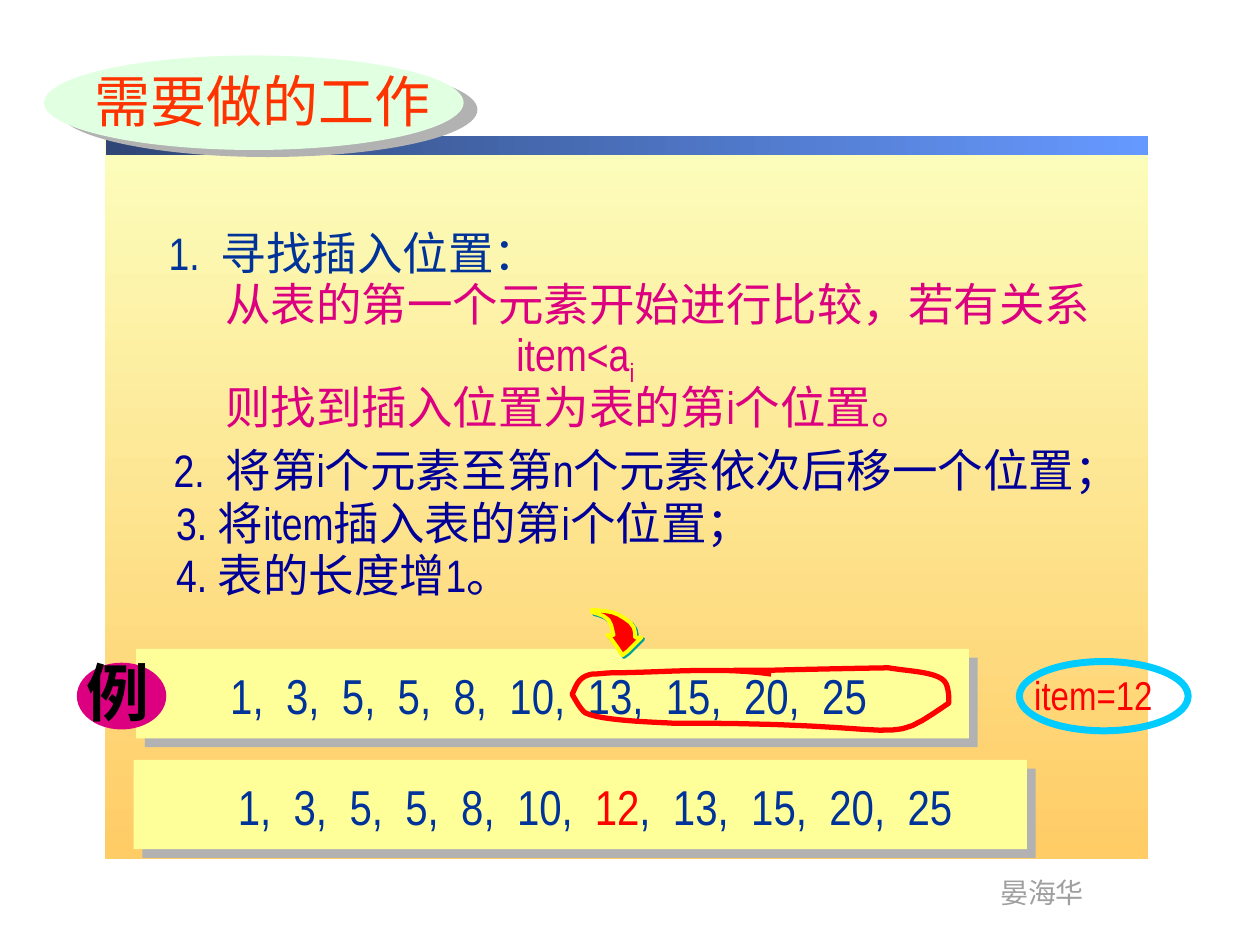
from lxml import etree
from pptx import Presentation
from pptx.dml.color import RGBColor
from pptx.enum.shapes import MSO_SHAPE
from pptx.enum.text import MSO_AUTO_SIZE, PP_ALIGN
from pptx.oxml.ns import qn
from pptx.util import Inches, Pt

RECT, OVAL = MSO_SHAPE.RECTANGLE, MSO_SHAPE.OVAL
GROW = MSO_AUTO_SIZE.SHAPE_TO_FIT_TEXT
CENTER = PP_ALIGN.CENTER

COLORS = {
    "cream": "FCFEBC", "orange": "FFCC66", "dusk": "2F4676", "sky": "6699FF",
    "gray": "9F9F9F", "shade": "B2B2B2", "mint": "E1FFE1", "title": "FF3300",
    "blue": "003399", "navy": "000099", "pink": "DC0081", "lemon": "FFFF99",
    "red": "FF0000", "cyan": "00CCFF", "yellow": "FFFF00", "teal": "009EA1",
    "black": "000000",
}
LATIN, HAN, HAN_JP = "Arial Narrow", "Noto Sans CJK SC", "Noto Sans CJK JP"

# Shapes: kind, (left, top, width, height), format
PANELS = [
    (RECT, (0.83, 1.1, 8.28, 5.72), {"grad": ("cream", "orange", 270)}),
    (RECT, (0.84, 1.08, 8.27, 0.15), {"grad": ("dusk", "sky", 0)}),
    (OVAL, (0.35, 0.44, 3.33, 0.75), {"fill": "mint", "shadow": ("shade", 8.9, 27)}),
    (RECT, (1.08, 5.15, 6.61, 0.71), {"fill": "lemon", "shadow": ("shade", 7.1, 45)}),
    (OVAL, (0.61, 5.26, 0.71, 0.53), {"fill": "pink"}),
    (OVAL, (8.09, 5.25, 1.34, 0.55), {"line": ("cyan", 4)}),
    (RECT, (1.06, 6.03, 7.09, 0.71), {"fill": "lemon", "shadow": ("shade", 7.1, 45)}),
]

# Text: box, size, colour, wrap, paragraphs; a paragraph is (format, runs),
# a run is a string or (string, changes)
TEXTS = [
    ((7.84, 6.9, 0.87, 0.37), 16, "gray", False, [({}, ["晏海华"])]),
    ((0.65, 0.48, 3.04, 0.63), 32, "title", True, [({}, ["需要做的工作"])]),
    ((1.24, 1.74, 3.32, 0.53), 26, "blue", True, [({}, ["1.  ", "寻找插入位置："])]),
    ((1.69, 2.24, 8.31, 1.23), 26, "pink", True, [
        ({"line_spacing": 0.75}, ["从表的第一个元素开始进行比较，若有关系"]),
        ({"line_spacing": 0.75, "space_before": Pt(2.6), "space_after": Pt(2.6),
          "indent": 2.31}, ["item<a", ("i", {"base": -25})]),
        ({"line_spacing": 0.75, "space_before": Pt(3.9)},
         ["则找到插入位置为表的第", "i", "个位置。"]),
    ]),
    ((1.28, 3.46, 8, 0.53), 26, "navy", False,
     [({}, ["2.  ", "将第", "i", "个元素至第", "n", "个元素依次后移一个位置；"])]),
    ((1.3, 3.88, 5.23, 0.53), 26, "navy", False,
     [({}, ["3. ", "将", "item", "插入表的第", "i", "个位置；"])]),
    ((1.3, 4.29, 3.18, 0.53), 26, "navy", False,
     [({}, ["4. ", "表的长度增", "1", "。"])]),
    ((1.02, 5.23, 6.75, 0.57), 28, "blue", True,
     [({"alignment": CENTER}, ["1,  3,  5,  5,  8,  10,  13,  15,  20,  25 "])]),
    ((0.59, 5.14, 0.7, 0.7), 36, "black", False,
     [({}, [("例", {"bold": True, "face": HAN_JP})])]),
    ((8.11, 5.27, 1.31, 0.48), 23, "red", False, [({}, ["item=12"])]),
    ((1.22, 6.11, 7.09, 0.57), 28, "blue", True,
     [({"alignment": CENTER}, ["1,  3,  5,  5,  8,  10,  ", ("12", {"color": "red"}),
                               ",  13,  15,  20,  25 "])]),
]

# Loop around the moved numbers: start, then cubic curves
LOOP_START = (6.12, 5.35)
LOOP = [
    ((5.73, 5.29), (5.21, 5.34), (4.86, 5.34)),
    ((4.81, 5.34), (4.75, 5.35), (4.7, 5.35)),
    ((4.58, 5.37), (4.57, 5.46), (4.54, 5.51)),
    ((4.56, 5.54), (4.61, 5.64), (4.65, 5.66)),
    ((4.78, 5.72), (5.17, 5.73), (5.34, 5.74)),
    ((7.32, 5.73), (6.99, 5.95), (7.53, 5.58)),
    ((7.53, 5.53), (7.53, 5.48), (7.51, 5.43)),
    ((7.47, 5.33), (7.22, 5.33), (7.05, 5.3)),
    ((5.91, 5.32), (6.32, 5.32), (5.82, 5.32)),
]
ARROW = [
    (4.87, 5.04), (4.82, 5.04), (4.85, 5.07), (4.9, 5.14), (4.94, 5.2),
    (4.98, 5.17), (5.03, 5.12), (5.09, 5.06), (5.04, 5.06), (5.04, 5.02),
    (5.03, 4.98), (5, 4.94), (4.96, 4.91), (4.91, 4.88), (4.86, 4.86),
    (4.8, 4.85), (4.7, 4.84), (4.7, 4.86), (4.74, 4.87), (4.79, 4.89),
    (4.83, 4.92), (4.85, 4.96), (4.86, 5),
]


def rgb(name):
    return RGBColor.from_string(COLORS[name])


def style(shape, fill=None, grad=None, line=None, shadow=None):
    shape.shadow.inherit = False
    if grad:
        shape.fill.gradient()
        shape.fill.gradient_angle = grad[2]
        for stop, name in zip(shape.fill.gradient_stops, grad):
            stop.color.rgb = rgb(name)
    elif fill:
        shape.fill.solid()
        shape.fill.fore_color.rgb = rgb(fill)
    else:
        shape.fill.background()
    if line:
        shape.line.color.rgb = rgb(line[0])
        shape.line.width = Pt(line[1])
    else:
        shape.line.fill.background()
    if shadow:
        name, dist, angle = shadow
        effects = shape._element.spPr.find(qn("a:effectLst"))
        outer = etree.SubElement(effects, qn("a:outerShdw"), dist=str(Pt(dist)),
                                 dir=str(angle * 60000), algn="ctr", rotWithShape="0")
        etree.SubElement(outer, qn("a:srgbClr"), val=COLORS[name])


def add_run(par, text, size, color, face=None, bold=None, base=None):
    run = par.add_run()
    run.text = text
    han = any(ord(char) > 0x2E80 for char in text)
    font = run.font
    font.size, font.bold = Pt(size), bold
    font.color.rgb = rgb(color)
    font.name = face or (HAN if han else LATIN)
    props = run._r.get_or_add_rPr()
    etree.SubElement(props, qn("a:ea"), typeface=face or HAN)
    if base:
        props.set("baseline", str(base * 1000))


def add_text(slide, box, size, color, wrap, pars):
    frame = slide.shapes.add_textbox(*map(Inches, box)).text_frame
    frame.word_wrap = wrap
    frame.auto_size = GROW
    for i, (form, runs) in enumerate(pars):
        par = frame.add_paragraph() if i else frame.paragraphs[0]
        for key, value in form.items():
            if key == "indent":
                par._p.get_or_add_pPr().set("marL", str(Inches(value)))
            else:
                setattr(par, key, value)
        for run in runs:
            text, change = (run, {}) if isinstance(run, str) else run
            add_run(par, text, **{"size": size, "color": color, **change})


def trace(start, curves, steps=12):
    """Turn cubic curves into a list of points."""
    points = [start]
    for b, c, d in curves:
        a = points[-1]
        for i in range(1, steps + 1):
            t = i / steps
            u = 1 - t
            points.append(tuple(
                u**3 * p + 3 * u * u * t * q + 3 * u * t * t * r + t**3 * s
                for p, q, r, s in zip(a, b, c, d)))
    return points


def add_free(slide, points, close, **form):
    first, *rest = [(Inches(x), Inches(y)) for x, y in points]
    builder = slide.shapes.build_freeform(*first)
    builder.add_line_segments(rest, close=close)
    style(builder.convert_to_shape(), **form)


def main():
    deck = Presentation()
    deck.slide_width, deck.slide_height = Inches(10), Inches(7.5)
    slide = deck.slides.add_slide(deck.slide_layouts[6])
    for kind, box, form in PANELS:
        style(slide.shapes.add_shape(kind, *map(Inches, box)), **form)
    for item in TEXTS:
        add_text(slide, *item)
    add_free(slide, trace(LOOP_START, LOOP), False, line=("red", 3))
    add_free(slide, ARROW, True, fill="red", line=("yellow", 2.25),
             shadow=("teal", 1.4, 45))
    deck.save("out.pptx")


if __name__ == "__main__":
    main()
